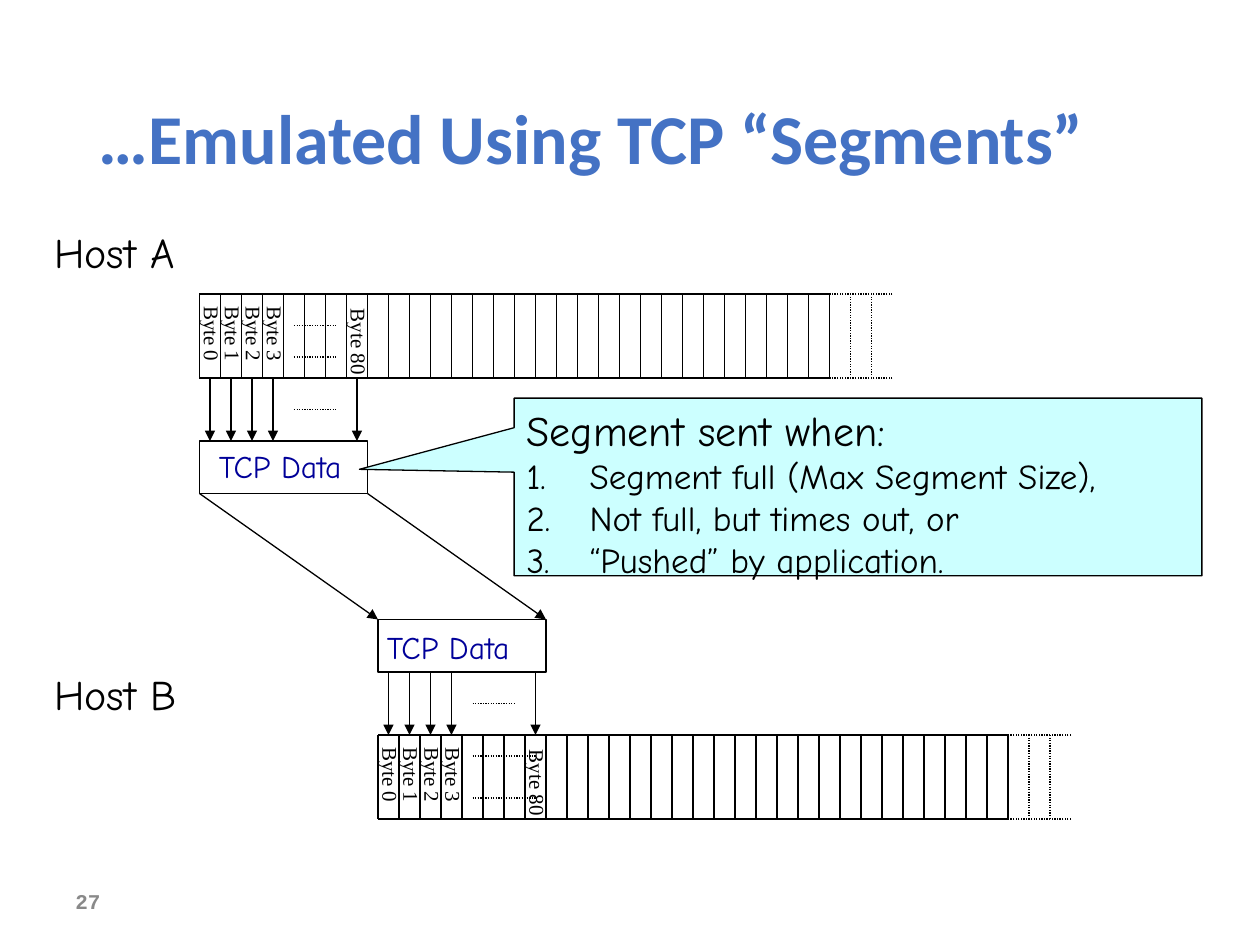
"""Build the slide showing a byte stream emulated with TCP segments."""
from lxml import etree
from pptx import Presentation
from pptx import util as u
from pptx.dml.color import RGBColor
from pptx.enum import dml, shapes, text
from pptx.oxml import ns

BLACK = RGBColor(0x00, 0x00, 0x00)
WHITE = RGBColor(0xFF, 0xFF, 0xFF)
GREY = RGBColor(0x89, 0x89, 0x89)
BLUE = RGBColor(0x44, 0x72, 0xC4)
NAVY = RGBColor(0x00, 0x00, 0x99)
CYAN = RGBColor(0xCC, 0xFF, 0xFF)

CELL, STRIP_H = 12, 48
SOLID_CELLS, ALL_CELLS = 30, 33
BOX_W, BOX_H, GAP = 96, 30, 36
SENT_BYTES = {0: "Byte 0", 1: "Byte 1", 2: "Byte 2", 3: "Byte 3", 7: "Byte 80"}


class Sketch:
    """Hold the line and text style and draw on the current slide."""

    line_width = u.Pt(0.75)
    title = dict(name="Calibri", size=u.Pt(40), bold=True, color=BLUE)
    number = dict(name="Courier New", size=u.Pt(12), bold=True, color=GREY)
    byte = dict(name="Times New Roman", size=u.Pt(12), color=BLACK)
    host = dict(name="Comic Neue", size=u.Pt(24), color=BLACK)
    item = dict(host, size=u.Pt(20))
    data = dict(host, size=u.Pt(18), color=NAVY)

    def __init__(self, s):
        self.s = s

    def add_text(self, p, words, fmt):
        r = p.add_run()
        r.text = words
        for key, value in fmt.items():
            if key == "color":
                r.font.color.rgb = value
            else:
                setattr(r.font, key, value)

    def label(self, words, x, y, w, h, fmt, wrap=False, rotation=0,
              anchor=text.MSO_ANCHOR.TOP):
        sp = self.s.shapes.add_textbox(u.Pt(x), u.Pt(y), u.Pt(w), u.Pt(h))
        sp.rotation = rotation
        tf = sp.text_frame
        tf.word_wrap = wrap
        tf.vertical_anchor = anchor
        if not wrap:
            tf.auto_size = text.MSO_AUTO_SIZE.SHAPE_TO_FIT_TEXT
        self.add_text(tf.paragraphs[0], words, fmt)
        return tf

    def line(self, x1, y1, x2, y2, dotted=False, arrow=False, group=None):
        c = (group or self.s).shapes.add_connector(
            shapes.MSO_CONNECTOR.STRAIGHT, u.Pt(x1), u.Pt(y1), u.Pt(x2), u.Pt(y2))
        c.line.width = self.line_width
        c.line.color.rgb = BLACK
        if dotted:
            c.line.dash_style = dml.MSO_LINE.ROUND_DOT
        spPr = c._element.spPr
        if arrow:
            etree.SubElement(spPr.get_or_add_ln(), ns.qn("a:tailEnd"), type="triangle")
        etree.SubElement(spPr, ns.qn("a:effectLst"))

    def shape(self, kind, x, y, w, h, fill):
        sp = self.s.shapes.add_shape(kind, u.Pt(x), u.Pt(y), u.Pt(w), u.Pt(h))
        sp.shadow.inherit = False
        sp.fill.solid()
        sp.fill.fore_color.rgb = fill
        sp.line.color.rgb = BLACK
        sp.line.width = self.line_width
        return sp

    def strip(self, x, y):
        end, tail, bottom = x + SOLID_CELLS * CELL, x + ALL_CELLS * CELL, y + STRIP_H
        rails = self.s.shapes.add_group_shape()
        for rail in (y, bottom):
            self.line(x, rail, end, rail, group=rails)
            self.line(tail, rail, end, rail, dotted=True, group=rails)
        for i in range(ALL_CELLS):
            self.line(x + i * CELL, y, x + i * CELL, bottom, dotted=i > SOLID_CELLS)
        for i, words in SENT_BYTES.items():
            w, mid = (46, 22.8) if i < 4 else (52.6, 27.8)
            h = 21.6
            self.label(words, x + i * CELL + 7.2 - w / 2, y + mid - h / 2, w, h,
                       self.byte, rotation=89.8)

    def arrows(self, x, y):
        for i in SENT_BYTES:
            mid = x + (i + 0.5) * CELL
            self.line(mid, y, mid, y + GAP, arrow=True)
        self.line(x + 54, y + GAP / 2, x + 78, y + GAP / 2, dotted=True)

    def callout(self, x, y, w, h, tip, heading, items):
        sp = self.shape(shapes.MSO_SHAPE.RECTANGULAR_CALLOUT, x, y, w, h, CYAN)
        for i, value in enumerate(tip):
            sp.adjustments[i] = value
        tf = sp.text_frame
        tf.word_wrap = True
        tf.vertical_anchor = text.MSO_ANCHOR.TOP
        for i, words in enumerate([heading, *items]):
            p = tf.add_paragraph() if i else tf.paragraphs[0]
            p.alignment = text.PP_ALIGN.LEFT
            pPr = p._p.get_or_add_pPr()
            pPr.set("marL", str(u.Pt(36)))
            pPr.set("indent", str(-u.Pt(36)))
            if i:
                etree.SubElement(pPr, ns.qn("a:buAutoNum"), type="arabicPeriod")
            self.add_text(p, words, self.item if i else self.host)


def main():
    prs = Presentation()
    prs.slide_width, prs.slide_height = u.Pt(720), u.Pt(540)
    k = Sketch(prs.slides.add_slide(prs.slide_layouts[6]))
    middle = text.MSO_ANCHOR.MIDDLE
    k.label("27", 36, 500.4, 168, 28.8, k.number, wrap=True, anchor=middle)
    tf = k.label("…Emulated Using TCP “Segments”", 49.5, 28.8, 621, 104.4,
                 k.title, wrap=True, anchor=middle)
    tf.paragraphs[0].line_spacing = 0.9

    ax, a_strip, a_box = 114, 168, 252
    bx, b_strip, b_box = 216, 420, 354
    k.strip(ax, a_strip)
    k.strip(bx, b_strip)
    for x, y, w in ((ax, a_strip + 18, 24), (ax, a_strip + 36, 24),
                    (bx, b_strip + 12, 36), (bx, b_strip + 36, 36)):
        k.line(x + 54, y, x + 54 + w, y, dotted=True)
    k.label("Host A", 24, 126, 92.9, 36, k.host)
    k.label("Host B", 24, 378.7, 90.7, 36, k.host)

    for x, y, dx, dy in ((ax, a_box, 4, 0), (bx, b_box, -2, 1.5)):
        k.shape(shapes.MSO_SHAPE.RECTANGLE, x, y, BOX_W, BOX_H, WHITE)
        k.label("TCP Data", x + dx, y + dy, 92, 28.8, k.data)
    for side in (0, BOX_W):
        k.line(ax + side, a_box + BOX_H, bx + side, b_box, arrow=True)
    k.arrows(ax, a_strip + STRIP_H)
    k.arrows(bx, b_box + BOX_H)

    k.callout(293.8, 227.5, 393, 101.5, (-0.725, -0.099), "Segment sent when:",
              ["Segment full (Max Segment Size),", "Not full, but times out, or",
               "“Pushed” by application."])
    prs.save("out.pptx")


if __name__ == "__main__":
    main()
